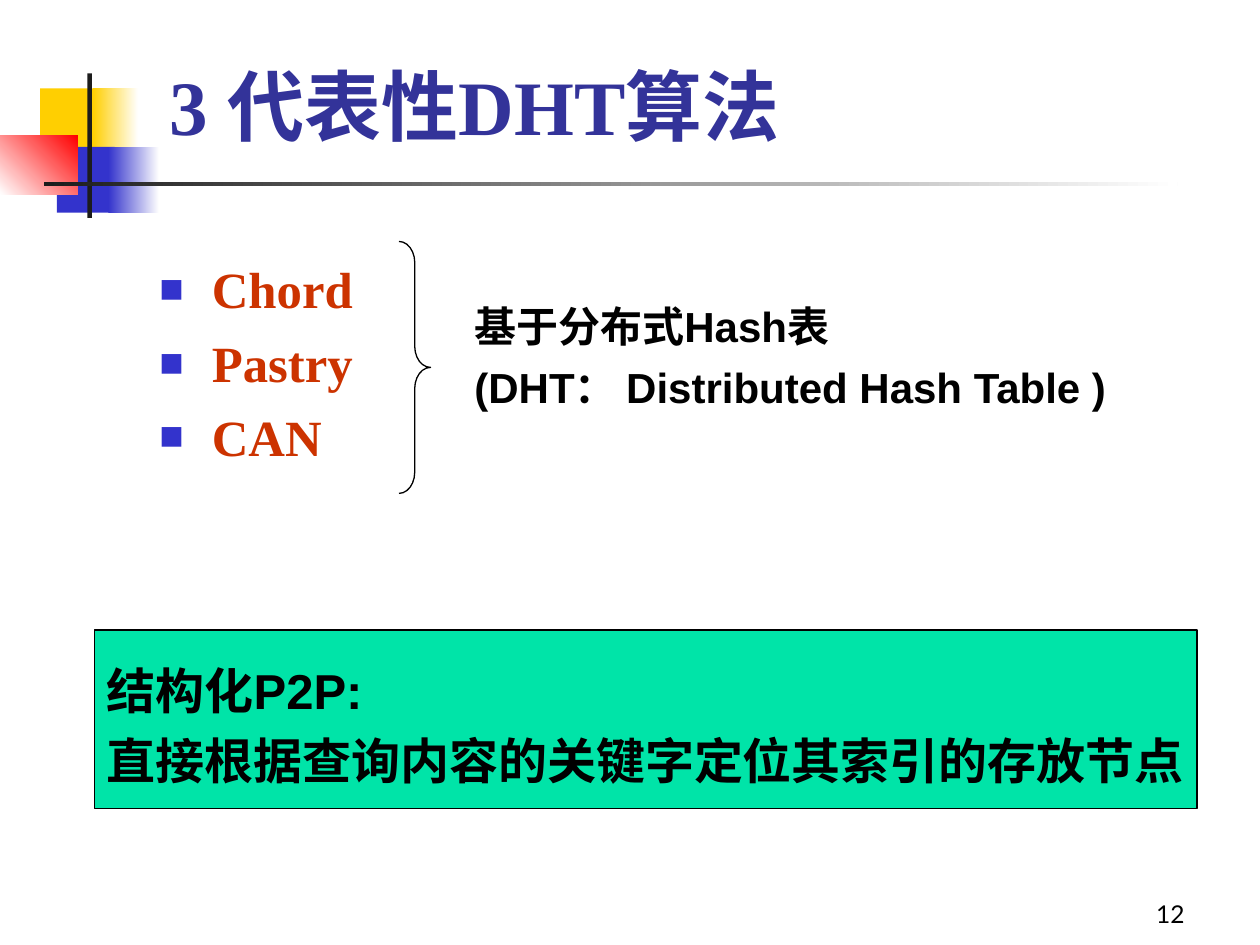
from dataclasses import dataclass

import pptx
import pptx.dml.color
import pptx.enum.shapes
import pptx.enum.text
import pptx.oxml
import pptx.oxml.ns
import pptx.util

Pt = pptx.util.Pt
RGB = pptx.dml.color.RGBColor.from_string
SHAPE = pptx.enum.shapes.MSO_SHAPE
ANCHOR = pptx.enum.text.MSO_ANCHOR
ALIGN = pptx.enum.text.PP_ALIGN


@dataclass(frozen=True)
class Theme:
    title: str = "333399"
    item: str = "CC3300"
    blue: str = "3333CC"
    yellow: str = "FFCF01"
    red: str = "FF0000"
    bar: str = "1C1C1C"
    panel: str = "00E4A8"
    black: str = "000000"
    white: str = "FFFFFF"
    serif: str = "Times New Roman"
    sans: str = "Arial"
    number_font: str = "Lato"
    title_size: float = 44
    item_size: float = 29
    panel_size: float = 28
    note_size: float = 24
    number_size: float = 14
    line: float = 0.75


T = Theme()


def add_box(s, box, *colors, angle=0, preset=SHAPE.RECTANGLE):
    """Shape with no fill, a solid fill or a two-colour gradient."""
    sp = s.shapes.add_shape(preset, *map(Pt, box))
    sp.shadow.inherit = False
    sp.line.fill.background()
    if len(colors) == 2:
        sp.fill.gradient()
        sp.fill.gradient_angle = angle
        for stop, color in zip(sp.fill.gradient_stops, colors):
            stop.color.rgb = RGB(color)
    elif colors:
        sp.fill.solid()
        sp.fill.fore_color.rgb = RGB(colors[0])
    else:
        sp.fill.background()
    return sp


def outline(sp):
    sp.line.color.rgb = RGB(T.black)
    sp.line.width = Pt(T.line)


def write(sp, lines, font, size, color, bold=True, gap=0, spacing=None,
          align=ALIGN.LEFT, anchor=ANCHOR.TOP, wrap=True):
    tf = sp.text_frame
    tf.word_wrap = wrap
    tf.vertical_anchor = anchor
    tf.text = "\n".join(lines)
    for i, p in enumerate(tf.paragraphs):
        p.alignment = align
        if spacing:
            p.line_spacing = spacing
        if i and gap:
            p.space_before = Pt(gap)
        for r in p.runs:
            r.font.name = font
            r.font.size = Pt(size)
            r.font.bold = bold
            r.font.color.rgb = RGB(color)
    return tf


def add_text(s, box, lines, *style, **layout):
    return write(s.shapes.add_textbox(*map(Pt, box)), lines, *style, **layout)


def add_bullet(p, indent):
    pPr = p._p.get_or_add_pPr()
    pPr.set("marL", str(Pt(indent)))
    pPr.set("indent", str(-Pt(indent)))
    ns = pptx.oxml.ns.nsdecls("a")
    for xml in (f'<a:buClr {ns}><a:srgbClr val="{T.blue}"/></a:buClr>',
                f'<a:buSzPct {ns} val="80000"/>',
                f'<a:buFont {ns} typeface="{T.serif}"/>',
                f'<a:buChar {ns} char="■"/>'):
        pPr.append(pptx.oxml.parse_xml(xml))


def decoration(s, x, y):
    # Coloured blocks, then the crossing bars
    add_box(s, (x + 23, y + 8.5, 34.5, 37.5), T.yellow)
    add_box(s, (x + 53, y + 8.5, 26, 37.5), T.yellow, T.white)
    add_box(s, (x + 32.5, y + 42, 33, 37.5), T.blue)
    add_box(s, (x + 62, y + 42, 29, 37.5), T.blue, T.white)
    add_box(s, (x, y + 35.5, 44.5, 33.5), T.white, T.red, angle=45)
    add_box(s, (x + 50, y, 2.5, 82.5), T.bar)
    add_box(s, (x + 25, y + 62, 648, 2.5), T.bar, T.white)


def title(s, box):
    add_text(s, box, ["3 代表性DHT算法"], T.serif, T.title_size, T.title,
             anchor=ANCHOR.BOTTOM)


def algorithms(s, x, y):
    # Bulleted names, brace, and what they share
    tf = add_text(s, (x, y + 6, 138, 126), ["Chord", "Pastry", "CAN"],
                  T.serif, T.item_size, T.item, gap=7.3)
    for p in tf.paragraphs:
        add_bullet(p, 30)
    brace = add_box(s, (x + 144, y, 18, 144), preset=SHAPE.RIGHT_BRACE)
    brace.adjustments[0] = 0.67
    outline(brace)
    add_text(s, (x + 180, y + 30, 378, 100),
             ["基于分布式Hash表", "(DHT： Distributed Hash Table )"],
             T.sans, T.note_size, T.black, gap=6)


def summary(s, box):
    sp = add_box(s, box, T.panel)
    outline(sp)
    write(sp, ["结构化P2P:", "直接根据查询内容的关键字定位其索引的存放节点"],
          T.sans, T.panel_size, T.black, spacing=1.2,
          anchor=ANCHOR.MIDDLE, wrap=False)


def slide_number(s, box):
    add_text(s, box, ["12"], T.number_font, T.number_size, T.black, bold=False,
             align=ALIGN.RIGHT, anchor=ANCHOR.BOTTOM)


def main():
    prs = pptx.Presentation()
    prs.slide_width, prs.slide_height = Pt(720), Pt(540)
    s = prs.slides.add_slide(prs.slide_layouts[6])
    decoration(s, 0, 42)
    slide_number(s, (534, 498, 150, 36))
    title(s, (90, 29.5, 613.5, 60))
    algorithms(s, 84, 138)
    summary(s, (54, 360, 630, 102))
    prs.save("out.pptx")


if __name__ == "__main__":
    main()
